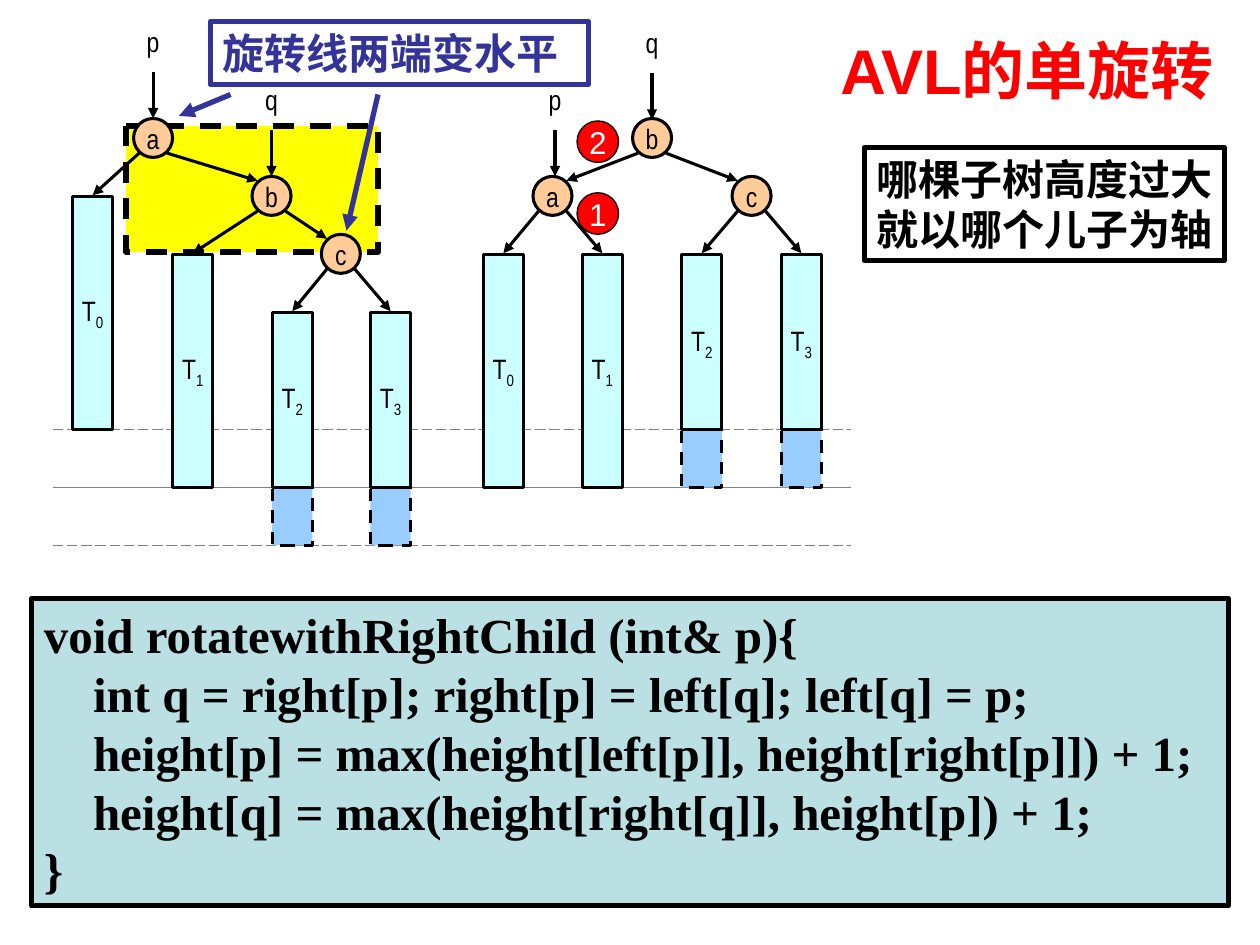
from lxml import etree
from pptx import Presentation, util as u
from pptx.dml.color import RGBColor
from pptx.enum import dml, shapes, text
from pptx.oxml import ns

Inches, Pt = u.Inches, u.Pt
RECTANGLE, OVAL = shapes.MSO_SHAPE.RECTANGLE, shapes.MSO_SHAPE.OVAL
DASH, LONG_DASH = dml.MSO_LINE.DASH, dml.MSO_LINE.LONG_DASH
MIDDLE, CENTER = text.MSO_ANCHOR.MIDDLE, text.PP_ALIGN.CENTER
color = RGBColor.from_string

presentation = Presentation()
presentation.slide_width, presentation.slide_height = Inches(10), Inches(7.5)
slide = presentation.slides.add_slide(presentation.slide_layouts[5])


def add_box(kind, left, top, width, height, fill=None, line=None, weight=1.76, dash=None,
            runs=(), size=16, font="Arial Narrow", font_color="000000"):
    """Add a shape with one optional centred paragraph of (text, is_subscript) runs."""
    shape = slide.shapes.add_shape(kind, Inches(left), Inches(top), Inches(width), Inches(height))
    shape.shadow.inherit = False
    if fill:
        shape.fill.solid()
        shape.fill.fore_color.rgb = color(fill)
    else:
        shape.fill.background()
    if line:
        shape.line.color.rgb = color(line)
        shape.line.width = Pt(weight)
        shape.line.dash_style = dash
    else:
        shape.line.fill.background()
    frame = shape.text_frame
    frame.word_wrap = False
    frame.vertical_anchor = MIDDLE
    paragraph = frame.paragraphs[0]
    paragraph.alignment = CENTER
    for words, subscript in runs:
        run = paragraph.add_run()
        run.text = words
        run.font.size, run.font.name = Pt(size), font
        run.font.color.rgb = color(font_color)
        if subscript:
            run.font._element.set("baseline", "-25000")
    return shape


def add_line(start, end, line="000000", weight=1.76, dash=None, arrow=True):
    connector = slide.shapes.add_connector(
        shapes.MSO_CONNECTOR.STRAIGHT, *[Inches(value) for value in (*start, *end)])
    connector.line.color.rgb = color(line)
    connector.line.width = Pt(weight)
    connector.line.dash_style = dash
    if arrow:
        etree.SubElement(connector.line._get_or_add_ln(), ns.qn("a:tailEnd"), type="triangle")
    etree.SubElement(connector._element.spPr, ns.qn("a:effectLst"))


# Yellow band around the rotated path, sampled from Bezier curves
band_start = (0.92, 0.83)
band_curves = [
    ((1.04, 0.76), (1.14, 0.67), (1.5, 0.83)),
    ((1.86, 1), (2.88, 1.57), (3.08, 1.83)),
    ((3.29, 2.1), (3.01, 2.46), (2.75, 2.42)),
    ((2.49, 2.37), (1.83, 1.78), (1.5, 1.58)),
    ((1.17, 1.39), (0.85, 1.37), (0.75, 1.25)),
    ((0.65, 1.12), (0.79, 0.9), (0.92, 0.83)),
]
steps = 16
points, corner = [], band_start
for control1, control2, end in band_curves:
    for step in range(1, steps + 1):
        t = step / steps
        weights = ((1 - t) ** 3, 3 * t * (1 - t) ** 2, 3 * t * t * (1 - t), t ** 3)
        points.append(tuple(
            sum(weight * point[axis] for weight, point in
                zip(weights, (corner, control1, control2, end))) for axis in (0, 1)))
    corner = end
builder = slide.shapes.build_freeform(*band_start, scale=Inches(1))
builder.add_line_segments(points[:-1], close=True)
band = builder.convert_to_shape()
band.shadow.inherit = False
band.fill.solid()
band.fill.fore_color.rgb = color("FFFF00")
band.line.color.rgb = color("000000")
band.line.width = Pt(3)
band.line.dash_style = DASH

# Height levels
for y, dash in ((4.33, LONG_DASH), (3.87, None), (3.41, LONG_DASH)):
    add_line((0.42, y), (6.75, y), "808080", 0.74, dash, arrow=False)

# Trees before and after: node centres, subtrees (centre, top, height, may grow), edges, pointers
trees = [
    {"nodes": {"a": (1.215, 1.095), "b": (2.155, 1.555), "c": (2.705, 2.015)},
     "subtrees": [(0.735, 1.56, 1.85, False), (1.53, 2.02, 1.85, False),
                  (2.32, 2.48, 1.39, True), (3.1, 2.48, 1.39, True)],
     "edges": ["ab", "a0", "b1", "bc", "c2", "c3"],
     "pointers": [("p", 1.215, 0.17), ("q", 2.155, 0.63)]},
    {"nodes": {"a": (4.385, 1.555), "b": (5.175, 1.095), "c": (5.965, 1.555)},
     "subtrees": [(3.995, 2.02, 1.85, False), (4.78, 2.02, 1.85, False),
                  (5.57, 2.02, 1.39, True), (6.36, 2.02, 1.39, True)],
     "edges": ["ba", "bc", "a0", "a1", "c2", "c3"],
     "pointers": [("p", 4.405, 0.63), ("q", 5.175, 0.18)]},
]
bar_width, growth, diameter = 0.32, 0.46, 0.31
for tree in trees:
    for number, (x, top, height, grows) in enumerate(tree["subtrees"]):
        left = x - bar_width / 2
        if grows:
            add_box(RECTANGLE, left, top + height, bar_width, growth, "99CCFF", "000000", dash=DASH)
        add_box(RECTANGLE, left, top, bar_width, height, "CCFFFF", "000000",
                runs=[("T", False), (str(number), True)])
    for name, (x, y) in tree["nodes"].items():
        add_box(OVAL, x - diameter / 2, y - diameter / 2, diameter, diameter,
                "FFCC99", "000000", runs=[(name, False)])
    for parent, child in tree["edges"]:
        x, y = tree["nodes"][parent]
        if child in tree["nodes"]:
            child_x, child_y = tree["nodes"][child]
            side = 0.11 if child_x > x else -0.11
            end = (child_x - side, child_y - 0.12)
        else:
            child_x, top = tree["subtrees"][int(child)][:2]
            side = 0.11 if child_x > x else -0.11
            end = (child_x, top - 0.01)
        add_line((x + side, y + 0.12), end)
    for name, x, top in tree["pointers"]:
        add_line((x, top + 0.4), (x, top + 0.77))
        add_box(RECTANGLE, x - diameter / 2, top, diameter, diameter, runs=[(name, False)])

# Step badges
for number, top in (("1", 1.53), ("2", 0.96)):
    add_box(OVAL, 4.58, top, 0.33, 0.33, "FF0000", "000000", 0.74,
            runs=[(number, False)], size=18, font="Arial", font_color="FFFFFF")

# Code and callouts: (box, fill, line, wrap, size, font, [(text, indent)])
code = [
    ("void rotatewithRightChild (int& p){", 0),
    ("int q = right[p]; right[p] = left[q]; left[q] = p;", 0.39),
    ("height[p] = max(height[left[p]], height[right[p]]) + 1;", 0.39),
    ("height[q] = max(height[right[q]], height[p]) + 1;", 0.39),
    ("}", 0),
]
panels = [
    ((0.25, 4.75, 9.5, 2.44), "BBE0E3", "000000", True, 28, "Times New Roman", code),
    ((1.67, 0.17, 3, 0.5), None, "333399", True, 24, "Arial", [("旋转线两端变水平", 0)]),
    ((6.86, 1.17, 2.86, 0.9), None, "000000", False, 24, "Arial",
     [("哪棵子树高度过大", 0), ("就以哪个儿子为轴", 0)]),
]
for box, fill, line, wrap, size, font, lines in panels:
    panel = add_box(RECTANGLE, *box, fill, line, 3)
    frame = panel.text_frame
    frame.word_wrap = wrap
    frame.vertical_anchor = text.MSO_ANCHOR.TOP
    for index, (words, indent) in enumerate(lines):
        paragraph = frame.add_paragraph() if index else frame.paragraphs[0]
        paragraph.alignment = text.PP_ALIGN.LEFT
        if indent:
            paragraph._p.get_or_add_pPr().set("marL", str(Inches(indent)))
        run = paragraph.add_run()
        run.text = words
        run.font.size, run.font.name, run.font.bold = Pt(size), font, True
        run.font.color.rgb = color("333399" if line == "333399" else "000000")

# Callout arrows
for start, end in (((1.83, 0.75), (1.42, 0.92)), ((3, 0.75), (2.75, 1.83))):
    add_line(start, end, "333399", 3)

# Title
title = slide.shapes.title
title.left, title.top, title.width, title.height = [Inches(v) for v in (6.57, 0.2, 3.32, 0.7)]
frame = title.text_frame
frame.word_wrap = False
frame.auto_size = text.MSO_AUTO_SIZE.NONE
frame.vertical_anchor = text.MSO_ANCHOR.TOP
paragraph = frame.paragraphs[0]
paragraph.alignment = text.PP_ALIGN.LEFT
run = paragraph.add_run()
run.text = "AVL的单旋转"
run.font.size, run.font.name, run.font.bold = Pt(36), "Arial", True
run.font.color.rgb = color("FF0000")

presentation.save("out.pptx")
